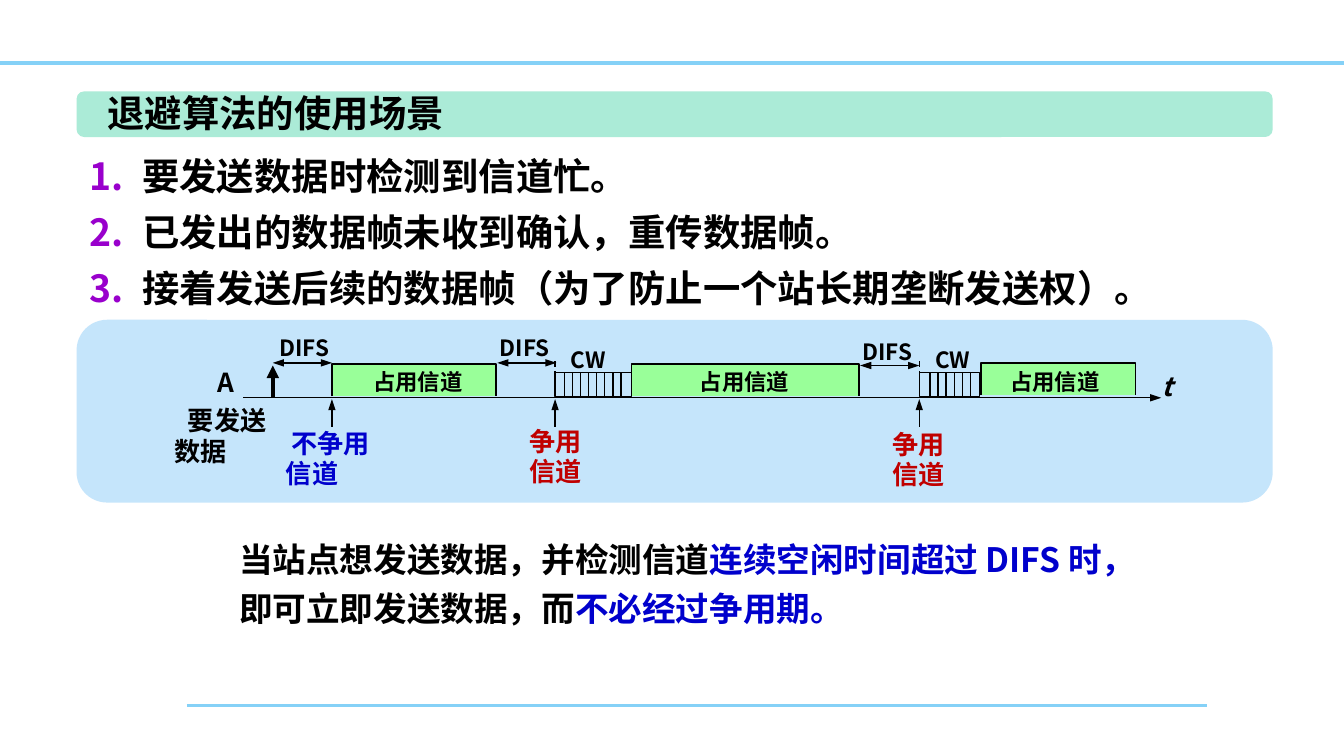
from dataclasses import dataclass

from lxml import etree
from pptx import Presentation
from pptx import util as u
from pptx.dml.color import RGBColor
from pptx.enum import dml, shapes, text
from pptx.oxml.ns import qn

Inches = u.Inches
CENTER = text.PP_ALIGN.CENTER
LEFT = text.PP_ALIGN.LEFT


@dataclass(frozen=True)
class Theme:
    font: str = "Noto Sans CJK SC"
    black: str = "000000"
    blue: str = "0000CC"
    red: str = "C00000"
    number: str = "9900CC"
    rule: str = "85D1F7"
    panel: str = "C5E5FB"
    banner: str = "ABEBD7"
    busy: str = "99FF99"
    heading: int = 20
    body: int = 18
    label: int = 14
    small: int = 12
    thin: float = 0.75


T = Theme()
AXIS_Y = 2.96
SLOT_TOP = 2.77
SLOT_HEIGHT = 0.18


def rgb(value):
    return RGBColor.from_string(value)


def add_line(s, x1, y1, x2, y2, color=T.black, width=T.thin, head=False, tail=False, dash=False):
    """Straight line; head is the arrowhead at the start, tail at the end."""
    sp = s.shapes.add_connector(shapes.MSO_CONNECTOR.STRAIGHT,
                                Inches(x1), Inches(y1), Inches(x2), Inches(y2))
    sp.line.color.rgb = rgb(color)
    sp.line.width = u.Pt(width)
    if dash:
        sp.line.dash_style = dml.MSO_LINE.DASH
    ln = sp.line._get_or_add_ln()
    arrow_width = "sm" if width == T.thin else "med"
    for tag, wanted in (("a:headEnd", head), ("a:tailEnd", tail)):
        if wanted:
            etree.SubElement(ln, qn(tag), type="triangle", w=arrow_width, len="med")
    etree.SubElement(sp._element.spPr, qn("a:effectLst"))


def add_panel(s, x, y, w, h, fill, radius=0.1667):
    sp = s.shapes.add_shape(shapes.MSO_SHAPE.ROUNDED_RECTANGLE,
                            Inches(x), Inches(y), Inches(w), Inches(h))
    sp.adjustments[0] = radius
    sp.shadow.inherit = False
    sp.fill.solid()
    sp.fill.fore_color.rgb = rgb(fill)
    sp.line.fill.background()


def add_run(p, words, size, color, italic=None):
    r = p.add_run()
    r.text = words
    r.font.size = u.Pt(size)
    r.font.bold = True
    r.font.italic = italic
    r.font.color.rgb = rgb(color)
    r.font.name = T.font
    etree.SubElement(r._r.get_or_add_rPr(), qn("a:ea"), typeface=T.font)


def add_text(s, x, y, w, h, paragraphs, size, color=T.black, aligns=(LEFT,),
             spacing=None, wrap=False, italic=None):
    """Each paragraph is a string or a list of (words, color) runs."""
    sp = s.shapes.add_textbox(Inches(x), Inches(y), Inches(w), Inches(h))
    tf = sp.text_frame
    tf.word_wrap = wrap
    tf.auto_size = text.MSO_AUTO_SIZE.SHAPE_TO_FIT_TEXT
    for i, content in enumerate(paragraphs):
        p = tf.add_paragraph() if i else tf.paragraphs[0]
        p.alignment = aligns[i % len(aligns)]
        if spacing:
            p.line_spacing = u.Pt(spacing)
        runs = [(content, color)] if isinstance(content, str) else content
        for words, run_color in runs:
            add_run(p, words, size, run_color, italic)
    return tf


def number_paragraphs(tf):
    for p in tf.paragraphs:
        pPr = p._p.get_or_add_pPr()
        pPr.set("marL", str(Inches(0.39)))
        pPr.set("indent", str(-Inches(0.39)))
        clr = etree.SubElement(pPr, qn("a:buClr"))
        etree.SubElement(clr, qn("a:srgbClr"), val=T.number)
        etree.SubElement(pPr, qn("a:buAutoNum"), type="arabicPeriod")


def add_busy_period(s, x, y, w, label_x):
    """Occupied channel: a box left open along the time axis."""
    h = 0.24
    path = s.shapes.build_freeform(Inches(x), Inches(y + h))
    path.add_line_segments([(Inches(px), Inches(py)) for px, py in
                            ((x, y), (x + w, y), (x + w, y + h))], close=False)
    sp = path.convert_to_shape()
    sp.shadow.inherit = False
    sp.fill.solid()
    sp.fill.fore_color.rgb = rgb(T.busy)
    sp.line.color.rgb = rgb(T.black)
    sp.line.width = u.Pt(T.thin)
    add_text(s, label_x, 2.69, 0.88, 0.3, ["占用信道"], T.small, aligns=(CENTER,))


def add_difs(s, x, y, label_x, label_y):
    add_line(s, x, y, x + 0.44, y, head=True, tail=True)
    add_text(s, label_x, label_y, 0.59, 0.3, ["DIFS"], T.small)


def add_contention_window(s, x, w, first_tick, ticks, label_x):
    sp = s.shapes.add_shape(shapes.MSO_SHAPE.RECTANGLE, Inches(x), Inches(SLOT_TOP),
                            Inches(w), Inches(SLOT_HEIGHT))
    sp.shadow.inherit = False
    sp.fill.background()
    sp.line.color.rgb = rgb(T.black)
    sp.line.width = u.Pt(T.thin)
    for i in range(ticks):
        tick = first_tick + 0.06 * i
        add_line(s, tick, SLOT_TOP, tick, SLOT_TOP + SLOT_HEIGHT)
    add_line(s, x, 2.69, x, AXIS_Y, dash=True)
    add_text(s, label_x, 2.53, 0.5, 0.3, ["CW"], T.small)


def add_event(s, arrow_x, x, y, w, lines, color, aligns=(LEFT,)):
    """Arrow up to the axis with a two-line note below it."""
    add_line(s, arrow_x, 2.97, arrow_x, 3.18, head=True)
    add_text(s, x, y, w, 0.55, lines, T.label, color, aligns, spacing=16, wrap=True)


def add_timeline(s):
    for x, y, w, label_x in ((2.47, 2.71, 1.22, 2.67), (4.7, 2.71, 1.69, 5.1),
                             (7.3, 2.7, 1.15, 7.41)):
        add_busy_period(s, x, y, w, label_x)
    for x, y, label_x, label_y in ((2.03, 2.7, 1.98, 2.44), (3.7, 2.7, 3.62, 2.44),
                                   (6.4, 2.72, 6.32, 2.47)):
        add_difs(s, x, y, label_x, label_y)
    add_contention_window(s, 4.13, 0.57, 4.2, 8, 4.15)
    add_contention_window(s, 6.84, 0.45, 6.92, 6, 6.86)

    add_line(s, 1.81, AXIS_Y, 8.64, AXIS_Y, tail=True)
    add_text(s, 8.54, 2.71, 0.28, 0.34, ["t"], T.label, italic=True)
    add_text(s, 1.52, 2.68, 0.35, 0.34, ["A"], T.label)
    add_line(s, 2.03, AXIS_Y, 2.03, 2.72, width=2.25, tail=True)
    add_text(s, 1.2, 2.96, 0.98, 0.57, ["要发送", "数据"], T.label,
             aligns=(CENTER, LEFT), wrap=True)

    add_event(s, 2.47, 2.03, 3.14, 0.86, ["不争用", "信道"], T.blue, (CENTER, LEFT))
    add_event(s, 4.13, 3.84, 3.13, 0.64, ["争用", "信道"], T.red)
    add_event(s, 6.84, 6.54, 3.15, 0.64, ["争用", "信道"], T.red)


def main():
    prs = Presentation()
    prs.slide_width = Inches(10)
    prs.slide_height = prs.slide_width * 9 // 16
    s = prs.slides.add_slide(prs.slide_layouts[6])

    add_line(s, 1.39, 5.25, 8.98, 5.25, T.rule, 1.5)
    add_line(s, 0, 0.47, 10, 0.47, T.rule, 2)
    add_panel(s, 0.57, 2.38, 8.9, 1.36, T.panel)
    add_panel(s, 0.57, 0.68, 8.9, 0.34, T.banner)
    add_text(s, 0.7, 0.62, 2.81, 0.44, ["退避算法的使用场景"], T.heading)
    scenarios = add_text(s, 0.57, 1.01, 8.9, 1.36, [
        "要发送数据时检测到信道忙。",
        "已发出的数据帧未收到确认，重传数据帧。",
        "接着发送后续的数据帧（为了防止一个站长期垄断发送权）。",
    ], T.heading, spacing=30, wrap=True)
    number_paragraphs(scenarios)

    add_timeline(s)

    add_text(s, 1.68, 3.9, 7.09, 0.83, [[
        ("当站点想发送数据，并检测信道", T.black),
        ("连续空闲时间超过 DIFS 时，", T.blue),
        ("即可立即发送数据，而", T.black),
        ("不必经过争用期。", T.blue),
    ]], T.body, spacing=26, wrap=True)
    prs.save("out.pptx")


if __name__ == "__main__":
    main()
